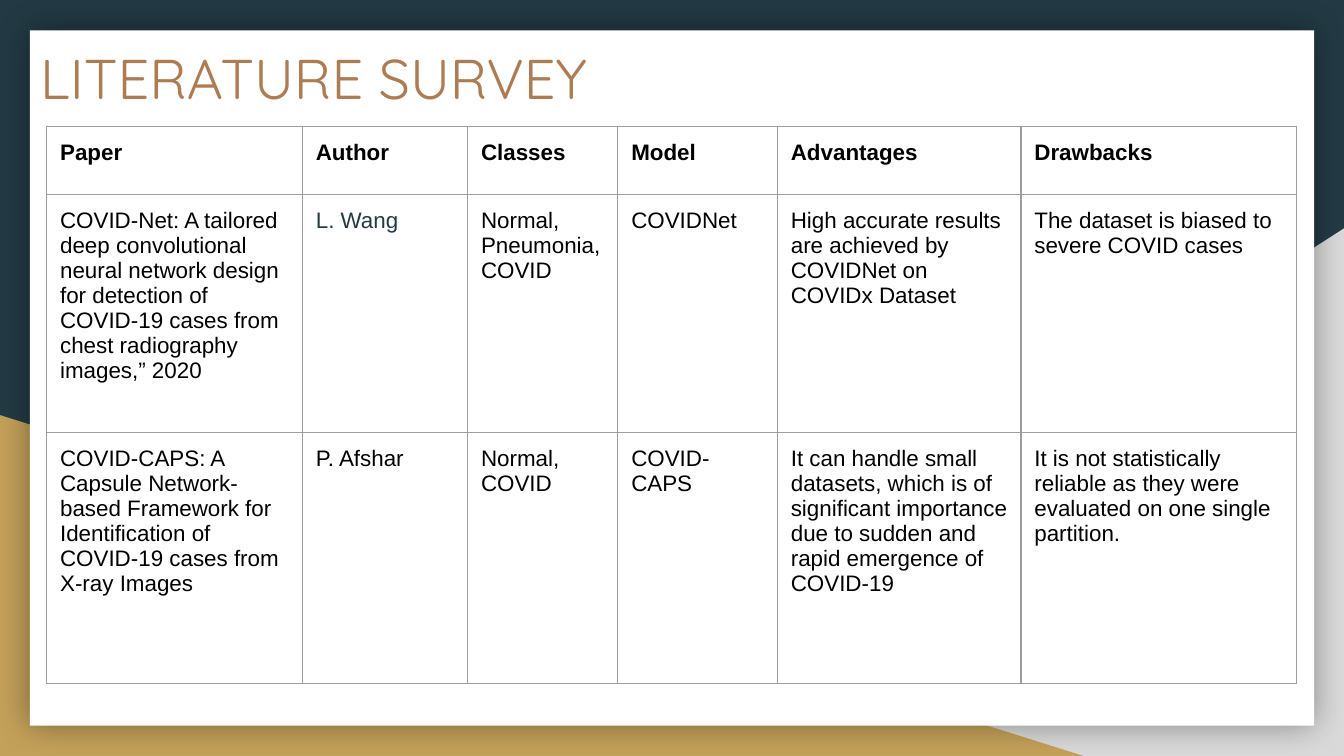
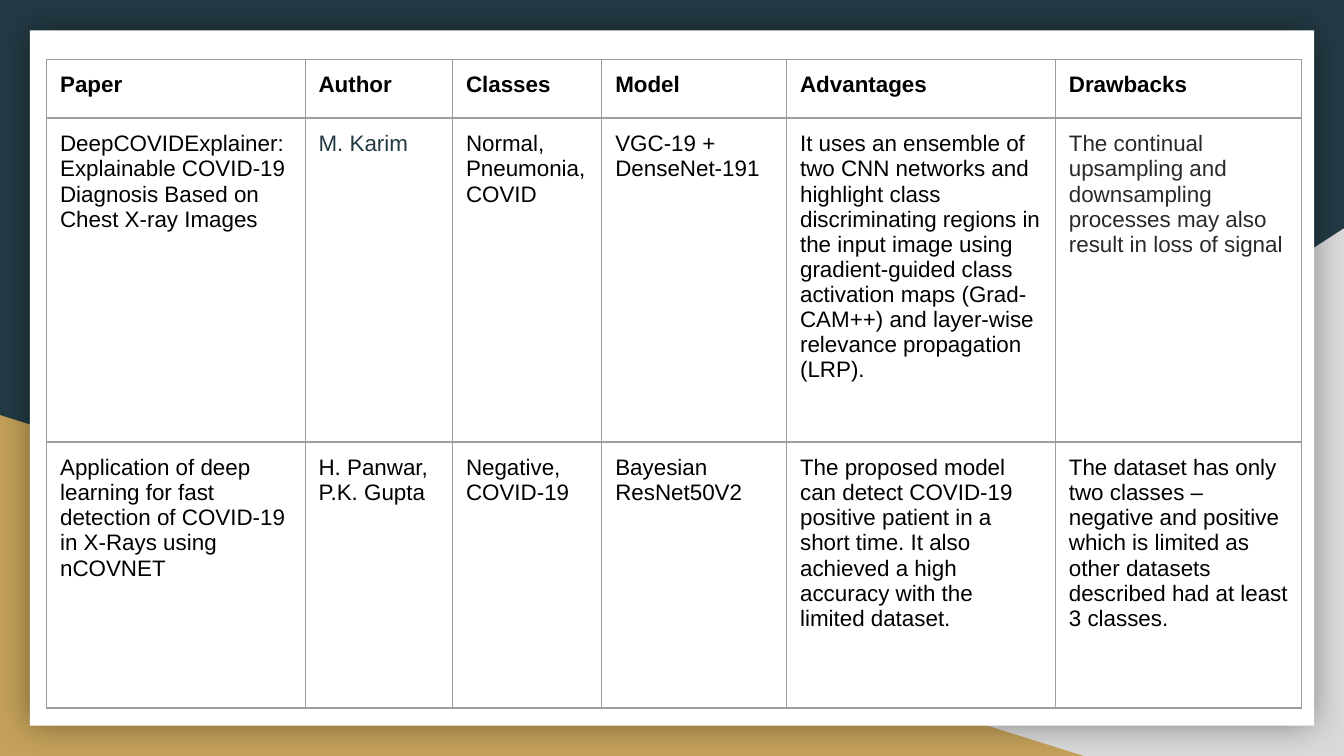
"""Builds two literature survey slides with paper comparison tables."""
from dataclasses import dataclass, field

from lxml import etree
from pptx import Presentation
from pptx.dml.color import RGBColor
from pptx.enum.shapes import MSO_SHAPE
from pptx.oxml.ns import qn
from pptx.util import Pt

TRIANGLE = MSO_SHAPE.RIGHT_TRIANGLE
RECT = MSO_SHAPE.RECTANGLE

COLORS = {
    "navy": "233A44",
    "grey": "D9D9D9",
    "gold": "C4A15A",
    "white": "FFFFFF",
    "title": "AF7B51",
    "text": "000000",
    "soft": "292929",
    "border": "9E9E9E",
}
TITLE_FONT = "Quicksand"
BODY_FONT = "Arial"
INSET = 7.2
TABLE_LEFT = 25
HEADER = ["Paper", "Author", "Classes", "Model", "Advantages", "Drawbacks"]


@dataclass(frozen=True)
class Backdrop:
    kind: int
    left: float
    top: float
    width: float
    height: float
    color: str
    flipped: bool = False
    shadow: bool = False


@dataclass(frozen=True)
class Survey:
    top: float
    cols: list[float]
    rows: list[float]
    papers: list[list[str]]
    accents: dict[tuple[int, int], str] = field(default_factory=dict)
    title: str = ""


BACKDROPS = [
    Backdrop(TRIANGLE, 282, 122.4, 438, 282.6, "grey", flipped=True),
    Backdrop(TRIANGLE, 0, 222.4, 580.5, 182.6, "gold"),
    Backdrop(RECT, 16, 16.2, 688, 372.6, "white", shadow=True),
]

SURVEYS = [
    Survey(
        title="LITERATURE SURVEY",
        top=67.6,
        cols=[137, 88.5, 80.5, 85.5, 130.5, 147.5],
        rows=[36.5, 127.5, 134.5],
        papers=[
            ["COVID-Net: A tailored deep convolutional neural network design for "
             "detection of COVID-19 cases from chest radiography images,” 2020",
             "L. Wang",
             "Normal, Pneumonia, COVID",
             "COVIDNet",
             "High accurate results are achieved by COVIDNet on COVIDx Dataset",
             "The dataset is biased to severe COVID cases"],
            ["COVID-CAPS: A Capsule Network-based Framework for Identification of "
             "COVID-19 cases from X-ray Images",
             "P. Afshar",
             "Normal, COVID",
             "COVID-CAPS",
             "It can handle small datasets, which is of significant importance due "
             "to sudden and rapid emergence of COVID-19",
             "It is not statistically reliable as they were evaluated on one single\n"
             "partition."],
        ],
        accents={(1, 1): "navy"},
    ),
    Survey(
        top=31.7,
        cols=[138.5, 79, 80, 99, 144, 132],
        rows=[31.6, 173.5, 142.5],
        papers=[
            ["DeepCOVIDExplainer: Explainable COVID-19 Diagnosis Based on Chest "
             "X-ray Images",
             "M. Karim",
             "Normal, Pneumonia, COVID",
             "VGC-19 + DenseNet-191",
             "It uses an ensemble of two CNN networks and highlight class "
             "discriminating regions in the input image using gradient-guided class "
             "activation maps (Grad-CAM++) and layer-wise relevance propagation (LRP).",
             "The continual upsampling and downsampling processes may also result in "
             "loss of signal"],
            ["Application of deep learning for fast detection of COVID-19 in X-Rays "
             "using nCOVNET",
             "H. Panwar, P.K. Gupta",
             "Negative,\nCOVID-19",
             "Bayesian ResNet50V2",
             "The proposed model can detect COVID-19 positive patient in a short "
             "time. It also achieved a high accuracy with the limited dataset.",
             "The dataset has only two classes – negative and positive which is "
             "limited as other datasets described had at least 3 classes."],
        ],
        accents={(1, 1): "navy", (1, 5): "soft"},
    ),
]


def rgb(name: str) -> RGBColor:
    return RGBColor.from_string(COLORS[name])


def set_text(tf, text: str, font: str, size: float, color: str, bold: bool = False) -> None:
    tf.word_wrap = True
    tf.text = text
    for p in tf.paragraphs:
        for r in p.runs:
            r.font.name = font
            r.font.size = Pt(size)
            r.font.bold = bold
            r.font.color.rgb = rgb(color)


def set_insets(box) -> None:
    box.margin_left = box.margin_right = Pt(INSET)
    box.margin_top = box.margin_bottom = Pt(INSET)


def add_color(parent, name: str):
    return etree.SubElement(parent, qn("a:srgbClr"), val=COLORS[name])


def add_glow_shadow(sp) -> None:
    effects = sp.element.spPr.find(qn("a:effectLst"))
    shadow = etree.SubElement(effects, qn("a:outerShdw"), blurRad=str(Pt(18)),
                              dist="0", dir="0", algn="ctr", rotWithShape="0")
    etree.SubElement(add_color(shadow, "text"), qn("a:alpha"), val="40000")


def add_backdrop(slide, item: Backdrop) -> None:
    sp = slide.shapes.add_shape(item.kind, Pt(item.left), Pt(item.top),
                                Pt(item.width), Pt(item.height))
    sp.fill.solid()
    sp.fill.fore_color.rgb = rgb(item.color)
    sp.line.fill.background()
    sp.shadow.inherit = False
    if item.flipped:
        sp.element.spPr.find(qn("a:xfrm")).set("flipH", "1")
    if item.shadow:
        add_glow_shadow(sp)


def add_title(slide, text: str) -> None:
    sp = slide.shapes.add_textbox(Pt(14.4), Pt(16), Pt(591), Pt(75))
    set_insets(sp.text_frame)
    set_text(sp.text_frame, text, TITLE_FONT, 30, "title")


def set_borders(cell) -> None:
    props = cell._tc.get_or_add_tcPr()
    for i, side in enumerate(("lnL", "lnR", "lnT", "lnB")):
        line = etree.Element(qn(f"a:{side}"), w=str(Pt(0.75)))
        add_color(etree.SubElement(line, qn("a:solidFill")), "border")
        props.insert(i, line)


def add_survey_table(slide, survey: Survey) -> None:
    frame = slide.shapes.add_table(len(survey.rows), len(survey.cols),
                                   Pt(TABLE_LEFT), Pt(survey.top),
                                   Pt(sum(survey.cols)), Pt(sum(survey.rows)))
    table = frame.table
    table.first_row = table.horz_banding = False
    for col, width in zip(table.columns, survey.cols):
        col.width = Pt(width)
    for row, height in zip(table.rows, survey.rows):
        row.height = Pt(height)
    for i, texts in enumerate([HEADER, *survey.papers]):
        for j, text in enumerate(texts):
            cell = table.cell(i, j)
            cell.fill.background()
            set_borders(cell)
            set_insets(cell)
            color = survey.accents.get((i, j), "text")
            set_text(cell.text_frame, text, BODY_FONT, 12, color, bold=i == 0)


def add_survey_slide(prs, survey: Survey) -> None:
    slide = prs.slides.add_slide(prs.slide_layouts[6])
    slide.background.fill.solid()
    slide.background.fill.fore_color.rgb = rgb("navy")
    for item in BACKDROPS:
        add_backdrop(slide, item)
    if survey.title:
        add_title(slide, survey.title)
    add_survey_table(slide, survey)


def main() -> None:
    prs = Presentation()
    prs.slide_width, prs.slide_height = Pt(720), Pt(405)
    for survey in SURVEYS:
        add_survey_slide(prs, survey)
    prs.save("out.pptx")


if __name__ == "__main__":
    main()
